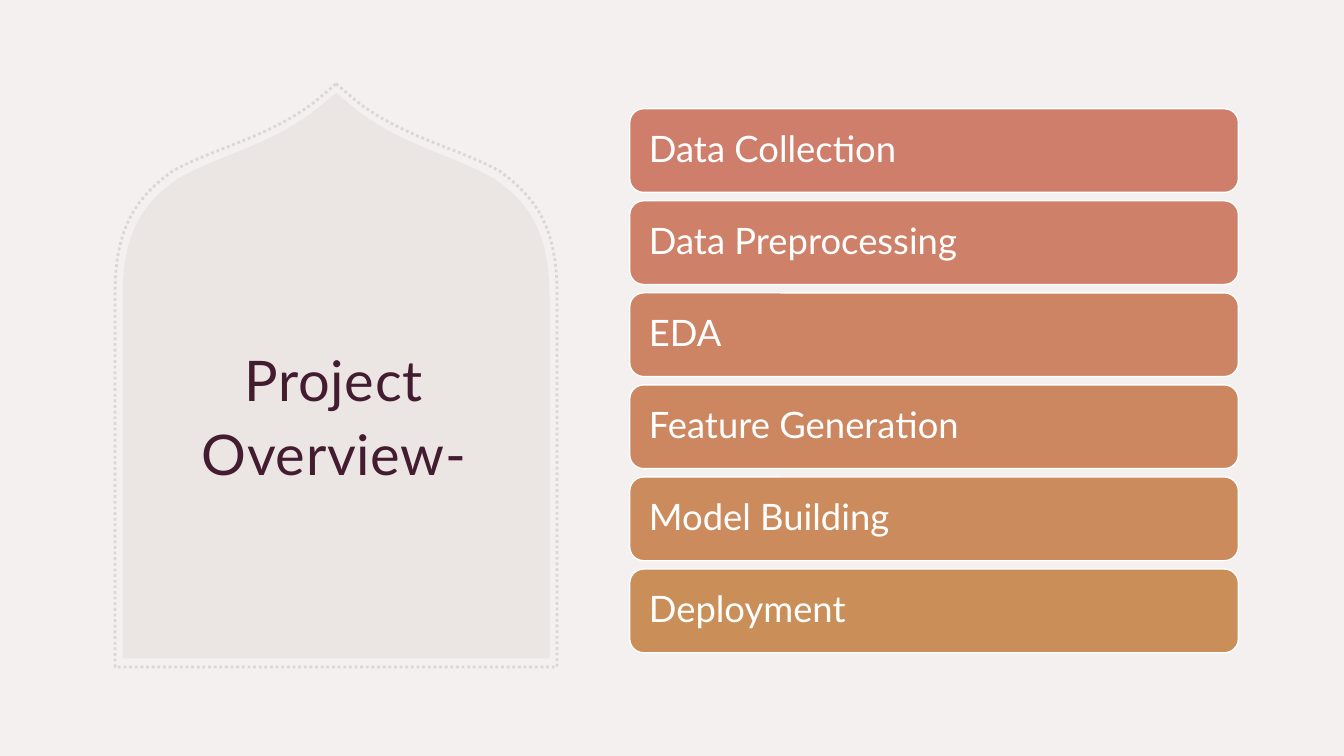
from lxml.etree import SubElement
from pptx import Presentation
from pptx.dml.color import RGBColor
from pptx.enum.dml import MSO_LINE
from pptx.enum.shapes import MSO_SHAPE
from pptx.enum.text import MSO_ANCHOR, PP_ALIGN
from pptx.oxml.ns import qn
from pptx.util import Cm, Pt

# Content
TITLE = "Project Overview-"
STEPS = [
    ("Data Collection", RGBColor(0xCF, 0x7E, 0x6C)),
    ("Data Preprocessing", RGBColor(0xCE, 0x81, 0x68)),
    ("EDA", RGBColor(0xCD, 0x84, 0x64)),
    ("Feature Generation", RGBColor(0xCC, 0x87, 0x60)),
    ("Model Building", RGBColor(0xCB, 0x8B, 0x5C)),
    ("Deployment", RGBColor(0xCA, 0x8F, 0x58)),
]

# Colours and formats
PAPER = RGBColor(0xF3, 0xF0, 0xEF)
TAUPE = RGBColor(0xBF, 0xAF, 0xAA)
DOTS = RGBColor(0xDE, 0xD6, 0xD3)
PLUM = RGBColor(0x43, 0x1C, 0x30)
WHITE = RGBColor(0xFF, 0xFF, 0xFF)
TITLE_FONT = {"name": "Lato", "size": Pt(40)}
STEP_FONT = {"name": "Lato", "size": Pt(26)}
TITLE_FRAME = {"margin_left": Cm(0.3), "margin_right": Cm(0.3)}
STEP_FRAME = {"margin_left": Cm(0.38), "margin_right": Cm(0.38)}

# Right half of each arch in cm: x from the axis, y from the slide top
AXIS = 8.47
INNER_ARCH = {
    "apex": (0, 2.34), "shoulder": (0.48, 2.74), "base": 16.59,
    "curves": [((1.64, 3.66), (2.96, 3.91), (3.98, 4.5)),
               ((4.94, 5.16), (5.38, 5.94), (5.38, 7.49))],
}
OUTER_ARCH = {
    "apex": (0, 2.11), "shoulder": (0.5, 2.54), "base": 16.81,
    "curves": [((1.71, 3.48), (3.09, 3.73), (4.13, 4.32)),
               ((5.11, 5.03), (5.57, 5.82), (5.57, 7.42))],
}
CURVE_STEPS = 24

# Step bars in cm
BAR_LEFT, BAR_TOP, BAR_WIDTH, BAR_HEIGHT, BAR_PITCH = 15.87, 2.74, 15.34, 2.11, 2.32


def bezier(start, first, second, end):
    for step in range(1, CURVE_STEPS + 1):
        t = step / CURVE_STEPS
        weights = ((1 - t) ** 3, 3 * t * (1 - t) ** 2, 3 * t ** 2 * (1 - t), t ** 3)
        yield tuple(sum(w * point[axis] for w, point in
                        zip(weights, (start, first, second, end)))
                    for axis in (0, 1))


def add_arch(page, arch):
    half = [arch["apex"], arch["shoulder"]]
    for curve in arch["curves"]:
        half.extend(bezier(half[-1], *curve))
    half.append((half[-1][0], arch["base"]))
    outline = half + [(-x, y) for x, y in reversed(half[1:])]
    points = [(Cm(AXIS + x), Cm(y)) for x, y in outline]
    builder = page.shapes.build_freeform(*points[0])
    builder.add_line_segments(points[1:], close=True)
    shape = builder.convert_to_shape()
    shape.shadow.inherit = False
    return shape


def write(box, text, colour, font, frame_format, paragraph_format):
    frame = box.text_frame
    frame.word_wrap = True
    frame.vertical_anchor = MSO_ANCHOR.MIDDLE
    for name, value in frame_format.items():
        setattr(frame, name, value)
    para = frame.paragraphs[0]
    for name, value in paragraph_format.items():
        setattr(para, name, value)
    span = para.add_run()
    span.text = text
    for name, value in font.items():
        setattr(span.font, name, value)
    span.font.color.rgb = colour
    return span


def main():
    deck = Presentation()
    deck.slide_width, deck.slide_height = Cm(33.87), Cm(19.05)
    page = deck.slides.add_slide(deck.slide_layouts[6])
    page.background.fill.solid()
    page.background.fill.fore_color.rgb = PAPER

    # Tinted arch
    panel = add_arch(page, INNER_ARCH)
    panel.fill.solid()
    panel.fill.fore_color.rgb = TAUPE
    panel.line.fill.background()
    tint = panel.fill._xPr.find(".//" + qn("a:srgbClr"))
    SubElement(tint, qn("a:alpha"), val="15000")

    # Dotted arch
    border = add_arch(page, OUTER_ARCH)
    border.fill.background()
    border.line.color.rgb = DOTS
    border.line.width = Pt(2)
    border.line.dash_style = MSO_LINE.ROUND_DOT

    # Title
    box = page.shapes.add_textbox(Cm(4.09), Cm(6.4), Cm(8.66), Cm(8))
    span = write(box, TITLE, PLUM, TITLE_FONT, TITLE_FRAME,
                 {"alignment": PP_ALIGN.CENTER, "line_spacing": 1.1})
    span.font._element.set("spc", "50")

    # Step bars
    for index, (label, colour) in enumerate(STEPS):
        bar = page.shapes.add_shape(
            MSO_SHAPE.ROUNDED_RECTANGLE, Cm(BAR_LEFT), Cm(BAR_TOP + index * BAR_PITCH),
            Cm(BAR_WIDTH), Cm(BAR_HEIGHT))
        bar.shadow.inherit = False
        bar.fill.solid()
        bar.fill.fore_color.rgb = colour
        bar.line.color.rgb = WHITE
        bar.line.width = Pt(1)
        write(bar, label, WHITE, STEP_FONT, STEP_FRAME,
              {"alignment": PP_ALIGN.LEFT, "line_spacing": 0.9})

    deck.save("out.pptx")


if __name__ == "__main__":
    main()
